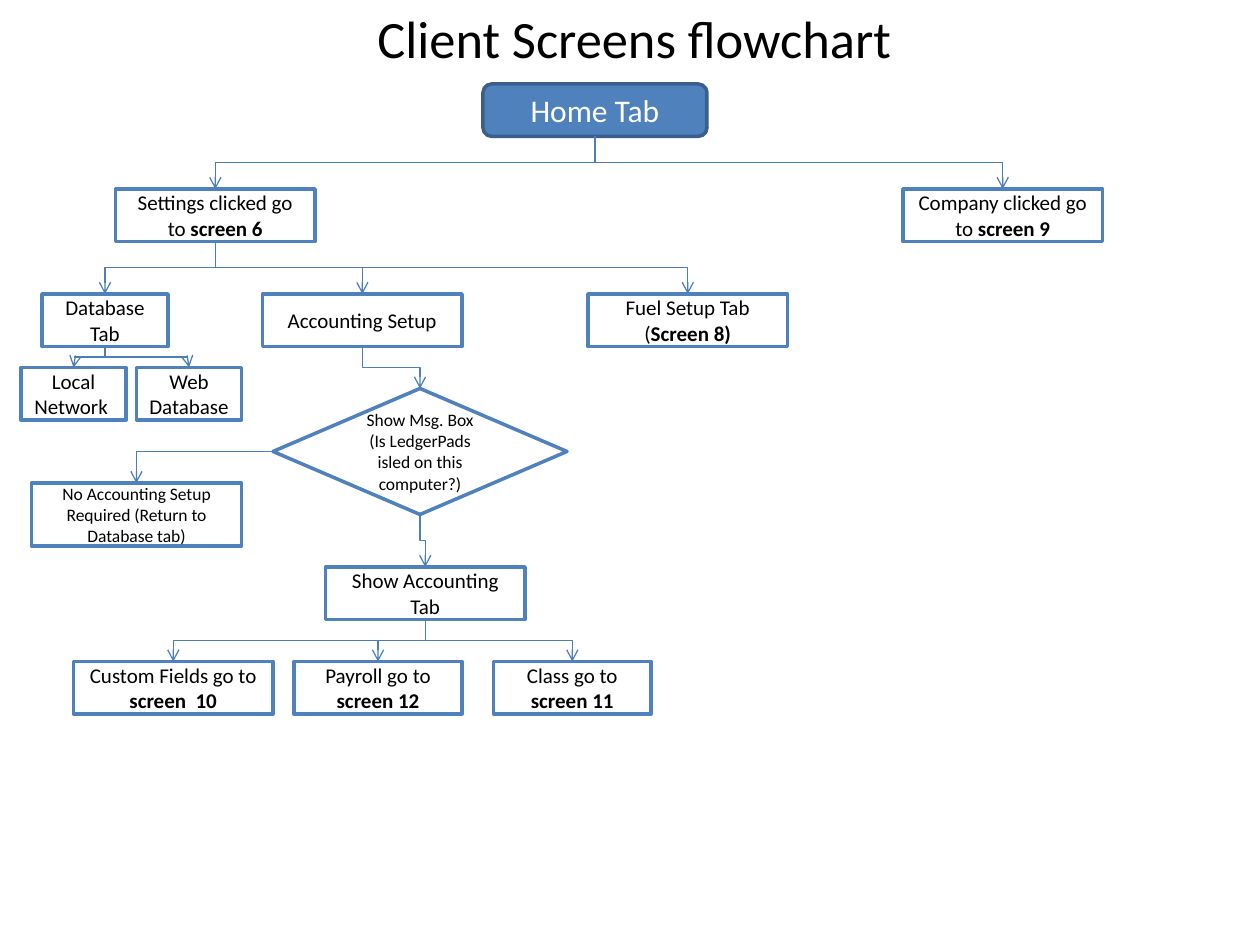
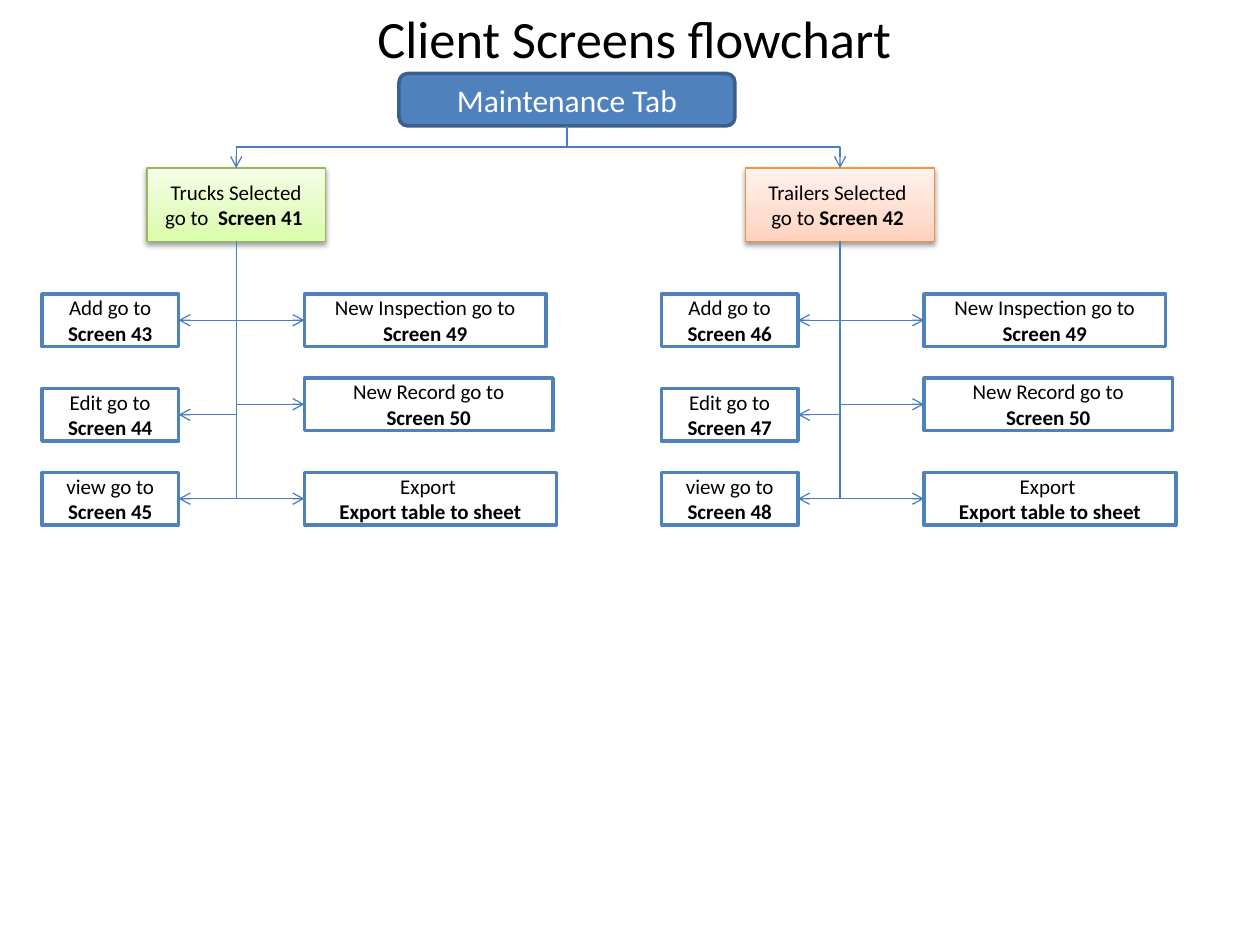
from lxml import etree
from pptx import Presentation
from pptx.dml.color import RGBColor
from pptx.enum import shapes, text
from pptx.oxml.ns import qn
from pptx.util import Pt

FONT = "Calibri"
BLUE = RGBColor(0x4F, 0x81, 0xBD)
NAVY = RGBColor(0x3A, 0x5F, 0x8C)
WIRE = RGBColor(0x4B, 0x7E, 0xBC)
LEAF = RGBColor(0x98, 0xB9, 0x55)
RUST = RGBColor(0xF6, 0x92, 0x40)
WHITE = RGBColor(0xFF, 0xFF, 0xFF)
BLACK = RGBColor(0, 0, 0)

KIND = shapes.MSO_SHAPE
TAB = KIND.FLOWCHART_ALTERNATE_PROCESS
STEP = KIND.FLOWCHART_PROCESS
ASK = KIND.FLOWCHART_DECISION

TITLE = "Client Screens flowchart"
ROW = 30  # height of a step

# Home slide: name -> text (bold after *), left, top, width
STEPS = {
    "set": ("Settings clicked go to *screen 6", 66, 108, 114),
    "firm": ("Company clicked go to *screen 9", 516, 108, 114),
    "data": ("Database Tab", 24, 168, 72),
    "books": ("Accounting Setup", 150, 168, 114),
    "fuel": ("Fuel Setup Tab (*Screen 8)", 336, 168, 114),
    "local": ("Local Network ", 12, 210, 60),
    "cloud": ("Web Database", 78, 210, 60),
    "show": ("Show Accounting Tab", 186, 324, 114),
    "custom": ("Custom Fields go to *screen  10", 42, 378, 114),
    "pay": ("Payroll go to* screen 12", 168, 378, 96),
    "class": ("Class go to *screen 11", 282, 378, 90),
}
QUERY = "Show Msg. Box (Is LedgerPads isled on this computer?)"
SKIP = "No Accounting Setup Required (Return to Database tab)"
FLOW = {
    "home": ["set", "firm"],
    "set": ["data", "books", "fuel"],
    "data": ["local", "cloud"],
    "books": ["ask"],
    "ask": ["show"],
    "show": ["custom", "pay", "class"],
}

# Maintenance slide: card, its colours, first screen, left and right columns
FLEETS = [
    ("Trucks Selected go to  *Screen 41 ", 84, 102, LEAF,
     ["DAFDA7", "E4FCC2", "F5FFE7"], 43, 24, 174),
    ("Trailers Selected  go to *Screen 42 ", 426, 108, RUST,
     ["FFD2BD", "FFDED0", "FFF2ED"], 46, 378, 528),
]
ACTS = [("Add go to", 168), ("Edit go to", 222), ("view go to", 270)]
JOBS = [
    ("New Inspection go to\n*Screen 49", 168, 138),
    ("New Record go to\n*Screen 50", 216, 142),
    ("Export \n*Export table to sheet", 270, 144),
]


def write(frame, words, size, color):
    for i, line in enumerate(words.split("\n")):
        para = frame.add_paragraph() if i else frame.paragraphs[0]
        para.alignment = text.PP_ALIGN.CENTER
        para.font.name, para.font.size = FONT, Pt(size)
        para.font.color.rgb = color
        for bold, part in enumerate(line.split("*")):
            if part:
                run = para.add_run()
                run.text = part
                if bold:
                    run.font.bold = True


def box(slide, words, x, y, w, h=ROW, kind=STEP, size=12,
        fill=WHITE, edge=BLUE, ink=BLACK, weight=2):
    shape = slide.shapes.add_shape(kind, Pt(x), Pt(y), Pt(w), Pt(h))
    shape.shadow.inherit = False
    shape.fill.solid()
    shape.fill.fore_color.rgb = fill
    shape.line.color.rgb = edge
    shape.line.width = Pt(weight)
    frame = shape.text_frame
    frame.word_wrap = True
    frame.vertical_anchor = text.MSO_ANCHOR.MIDDLE
    write(frame, words, size, ink)
    return shape


def tab(slide, words, x, y, w):
    return box(slide, words, x, y, w, kind=TAB, size=18,
               fill=BLUE, edge=NAVY, ink=WHITE)


def node(parent, tag, **attrs):
    return etree.SubElement(parent, qn(tag), attrs)


def glow(shape, tints):
    """Vertical gradient with a soft shadow below."""
    shape.fill.gradient()
    shape.fill.gradient_angle = 90
    props = shape._element.spPr
    stops = props.find(".//" + qn("a:gsLst"))
    stops.clear()
    for pos, tint in zip((0, 35, 100), tints):
        stop = node(stops, "a:gs", pos=str(pos * 1000))
        node(stop, "a:srgbClr", val=tint)
    shade = node(props.find(qn("a:effectLst")), "a:outerShdw",
                 blurRad=str(Pt(3.1)), dist=str(Pt(1.6)),
                 dir="5400000", rotWithShape="0")
    node(node(shade, "a:srgbClr", val="000000"), "a:alpha", val="38000")


def wire(slide, x1, y1, x2, y2, turn=None, preset="bentConnector3"):
    line = slide.shapes.add_connector(
        shapes.MSO_CONNECTOR.ELBOW, x1, y1, x2, y2)
    line.line.color.rgb = WIRE
    line.line.width = Pt(0.75)
    props = line._element.spPr
    props.find(qn("a:prstGeom")).set("prst", preset)
    if turn:
        props.find(qn("a:xfrm")).set("rot", str(turn * 60000))
    node(props.find(qn("a:ln")), "a:tailEnd", type="arrow")
    node(props, "a:effectLst")


def drop(slide, x1, y1, x2, y2, preset="bentConnector3"):
    """Elbow that leaves downwards: a sideways one, turned on its centre."""
    left = (x1 + x2 - (y2 - y1)) // 2
    top = (y1 + y2 - abs(x2 - x1)) // 2
    right, low = left + y2 - y1, top + abs(x2 - x1)
    if x2 > x1:
        wire(slide, right, top, left, low, 270, preset)
    else:
        wire(slide, left, top, right, low, 90, preset)


def mid(shape):
    return shape.left + shape.width // 2


def foot(shape):
    return shape.top + shape.height


def link(slide, a, b):
    drop(slide, mid(a), foot(a), mid(b), b.top)


def branch(slide, card, item):
    x = mid(card)
    end = item.left if item.left > x else item.left + item.width
    drop(slide, x, foot(card), end, item.top + item.height // 2,
         "bentConnector2")


def start(deck):
    slide = deck.slides.add_slide(deck.slide_layouts[6])
    head = slide.shapes.add_textbox(Pt(207), 0, Pt(311), Pt(44))
    head.text_frame.word_wrap = False
    head.text_frame.auto_size = text.MSO_AUTO_SIZE.SHAPE_TO_FIT_TEXT
    write(head.text_frame, TITLE, 30, BLACK)
    return slide


def home(deck):
    slide = start(deck)
    parts = {name: box(slide, *step) for name, step in STEPS.items()}
    parts["home"] = tab(slide, "Home Tab", 276, 48, 128)
    ask = parts["ask"] = box(slide, QUERY, 156, 222, 168, 72, ASK, 10)
    skip = box(slide, SKIP, 18, 276, 120, 36, size=10)
    for a, ends in FLOW.items():
        for b in ends:
            link(slide, parts[a], parts[b])
    # The "no" answer leaves sideways
    wire(slide, ask.left, ask.top + ask.height // 2, mid(skip), skip.top,
         preset="bentConnector2")


def upkeep(deck):
    slide = start(deck)
    root = tab(slide, "Maintenance Tab", 228, 42, 192)
    for words, x, w, edge, tints, first, left, right in FLEETS:
        card = box(slide, words, x, 96, w, 42, edge=edge, weight=0.75)
        glow(card, tints)
        items = [box(slide, f"{act}\n*Screen {first + i}", left, y, 78)
                 for i, (act, y) in enumerate(ACTS)]
        items += [box(slide, job, right, y, wide) for job, y, wide in JOBS]
        link(slide, root, card)
        for item in items:
            branch(slide, card, item)


def main():
    deck = Presentation()
    deck.slide_width, deck.slide_height = Pt(720), Pt(540)
    home(deck)
    upkeep(deck)
    deck.save("out.pptx")


if __name__ == "__main__":
    main()
